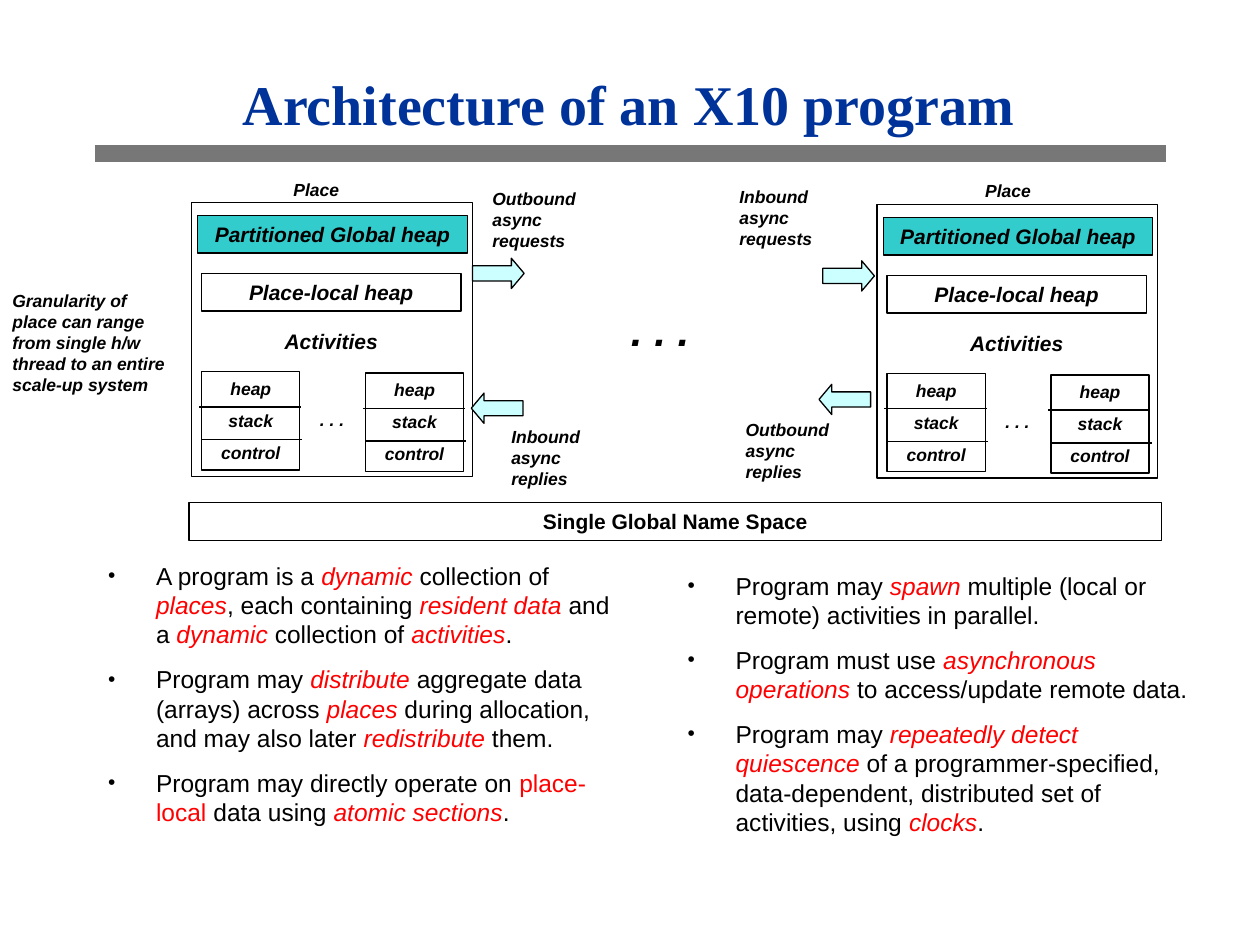
from pptx import Presentation
from pptx.dml.color import RGBColor
from pptx.enum.shapes import MSO_CONNECTOR as Conn, MSO_SHAPE as Geo
from pptx.enum.text import MSO_ANCHOR as Anchor, PP_ALIGN as Align
from pptx.oxml.ns import qn
from pptx.util import Inches, Pt
from lxml.etree import SubElement

BLACK = RGBColor(0, 0, 0)
NAVY = RGBColor(0x00, 0x33, 0x99)
GREY = RGBColor(0x77, 0x77, 0x77)
TEAL = RGBColor(0x33, 0xCC, 0xCC)
PALE = RGBColor(0xCC, 0xFF, 0xFF)
RED = RGBColor(0xFF, 0, 0)

TITLE = "Architecture of an X10 program"
SPACE = "Single Global Name Space"
STACK = ["heap", "stack", "control"]
PLACES = [(1.52, 1.61), (6.96, 1.625)]
STACKS = [(0.08, 1.34), (1.38, 1.35)]
HEAPS = [("Place-local heap", (0.08, 0.56, 2.06), None),
         ("Partitioned Global heap", (0.05, 0.1, 2.14), TEAL)]
ARROWS = [(3.75, 2.05, 0), (6.53, 2.07, 0), (6.5, 3.05, 180), (3.74, 3.12, 180)]
NOTES = [("Outbound async requests", (3.81, 1.44, 1.11, 0.6)),
         ("Inbound async requests", (5.77, 1.43, 1.11, 0.6)),
         ("Outbound async replies", (5.82, 3.28, 0.9, 0.6)),
         ("Inbound async replies", (3.96, 3.33, 0.9, 0.6)),
         ("Granularity of place can range from single h/w thread "
          "to an entire scale-up system", (0, 2.25, 1.49, 0.94))]
LABELS = [(". . .", (4.91, 2.37, 0.66, 0.5), 24),
          ("Place", (2.23, 1.37, 0.56, 0.27), 10),
          ("Place", (7.72, 1.38, 0.56, 0.27), 10)]
UPRIGHT = {"place-local"}
POINTS = [
    ((0.76, 4.4), [
        "A program is a |dynamic| collection of |places|, each containing "
        "|resident data |and a |dynamic| collection of |activities|.",
        "Program may |distribute| aggregate data (arrays) across |places| "
        "during allocation, and may also later |redistribute |them.",
        "Program may directly operate on |place-local| data using "
        "|atomic sections|."]),
    ((5.36, 4.48), [
        "Program may| spawn| multiple (local or remote) activities in parallel.",
        "Program must use |asynchronous operations| to access/update remote data.",
        "Program may| repeatedly detect quiescence| of a programmer-specified, "
        "data-dependent, distributed set of activities, using |clocks|."]),
]


def style(para, size, color=BLACK, bold=True, ital=True, face="Arial"):
    font = para.font
    font.name, font.size = face, Pt(size)
    font.bold, font.italic = bold, ital
    font.color.rgb = color


def write(shape, lines, size, align=Align.CENTER, gap=0, ital=True):
    frame = shape.text_frame
    frame.vertical_anchor = Anchor.TOP
    frame.text = "\n".join(lines)
    for num, para in enumerate(frame.paragraphs):
        para.alignment = align
        if num:
            para.space_before = Pt(gap)
        style(para, size, ital=ital)


def block(tree, box, fill=None, geo=Geo.RECTANGLE):
    shape = tree.add_shape(geo, *map(Inches, box))
    shape.shadow.inherit = False
    if fill is None:
        shape.fill.background()
    else:
        shape.fill.solid()
        shape.fill.fore_color.rgb = fill
    shape.line.color.rgb = BLACK
    shape.line.width = Pt(0.75)
    return shape


def rule(tree, x, y, width, color=BLACK, weight=0.75):
    line = tree.add_connector(Conn.STRAIGHT, *map(Inches, (x, y, x + width, y)))
    line.line.color.rgb = color
    line.line.width = Pt(weight)
    SubElement(line.element.spPr, qn("a:effectLst"))


def label(tree, text, box, size, align=Align.CENTER, wrap=False):
    shape = tree.add_textbox(*map(Inches, box))
    shape.text_frame.word_wrap = wrap
    write(shape, [text], size, align)


def place(tree, left, top):
    block(tree, (left, top, 2.23, 2.17))
    for dx, dy in STACKS:
        x, y = left + dx, top + dy
        rule(tree, x - 0.02, y + 0.28, 0.81)
        write(block(tree, (x, y, 0.78, 0.78)), STACK, 10, gap=6.2)
        rule(tree, x, y + 0.54, 0.8)
    label(tree, ". . .", (left + 0.92, top + 1.59, 0.39, 0.27), 10)
    label(tree, "Activities", (left + 0.64, top + 0.95, 0.94, 0.3), 12)
    for text, (dx, dy, width), fill in HEAPS:
        write(block(tree, (left + dx, top + dy, width, 0.3), fill), [text], 12)


def bullet(para):
    props = para._p.get_or_add_pPr()
    props.set("marL", str(Inches(0.38)))
    props.set("indent", str(-Inches(0.38)))
    tint = SubElement(props, qn("a:buClr"))
    SubElement(tint, qn("a:srgbClr"), val=str(BLACK))
    SubElement(props, qn("a:buSzPct"), val="85000")
    SubElement(props, qn("a:buFont"), typeface="Arial")
    SubElement(props, qn("a:buChar"), char="•")


def points(tree, spot, items):
    frame = tree.add_textbox(*map(Inches, (*spot, 4.29, 2.21))).text_frame
    frame.word_wrap = True
    for num, item in enumerate(items):
        para = frame.add_paragraph() if num else frame.paragraphs[0]
        bullet(para)
        if num:
            para.space_before = Pt(8.8)
        style(para, 14, bold=False, ital=False)
        for turn, part in enumerate(item.split("|")):
            run = para.add_run()
            run.text = part
            if turn % 2:
                run.font.color.rgb = RED
                run.font.italic = part not in UPRIGHT


def main():
    deck = Presentation()
    deck.slide_width, deck.slide_height = Inches(10), Inches(7.5)
    slide = deck.slides.add_slide(deck.slide_layouts[5])
    tree = slide.shapes

    head = tree.title
    head.left, head.top, head.width, head.height = map(Inches, (1.54, 0.5, 6.9, 0.63))
    head.text_frame.text = TITLE
    head.text_frame.vertical_anchor = Anchor.MIDDLE
    para = head.text_frame.paragraphs[0]
    para.alignment = Align.CENTER
    style(para, 32, NAVY, ital=False, face="Times New Roman")
    rule(tree, 0.75, 1.22, 8.5, GREY, 10)

    for left, top in PLACES:
        place(tree.add_group_shape().shapes, left, top)
    for x, y, turn in ARROWS:
        arrow = block(tree, (x, y, 0.41, 0.24), PALE, Geo.RIGHT_ARROW)
        arrow.adjustments[1] = 0.42
        arrow.rotation = turn
    for text, box in NOTES:
        label(tree, text, box, 10, Align.LEFT, True)
    for text, box, size in LABELS:
        label(tree, text, box, size)
    for spot, items in POINTS:
        points(tree, spot, items)
    write(block(tree, (1.5, 3.99, 7.72, 0.3)), [SPACE], 12, ital=False)
    deck.save("out.pptx")


if __name__ == "__main__":
    main()
